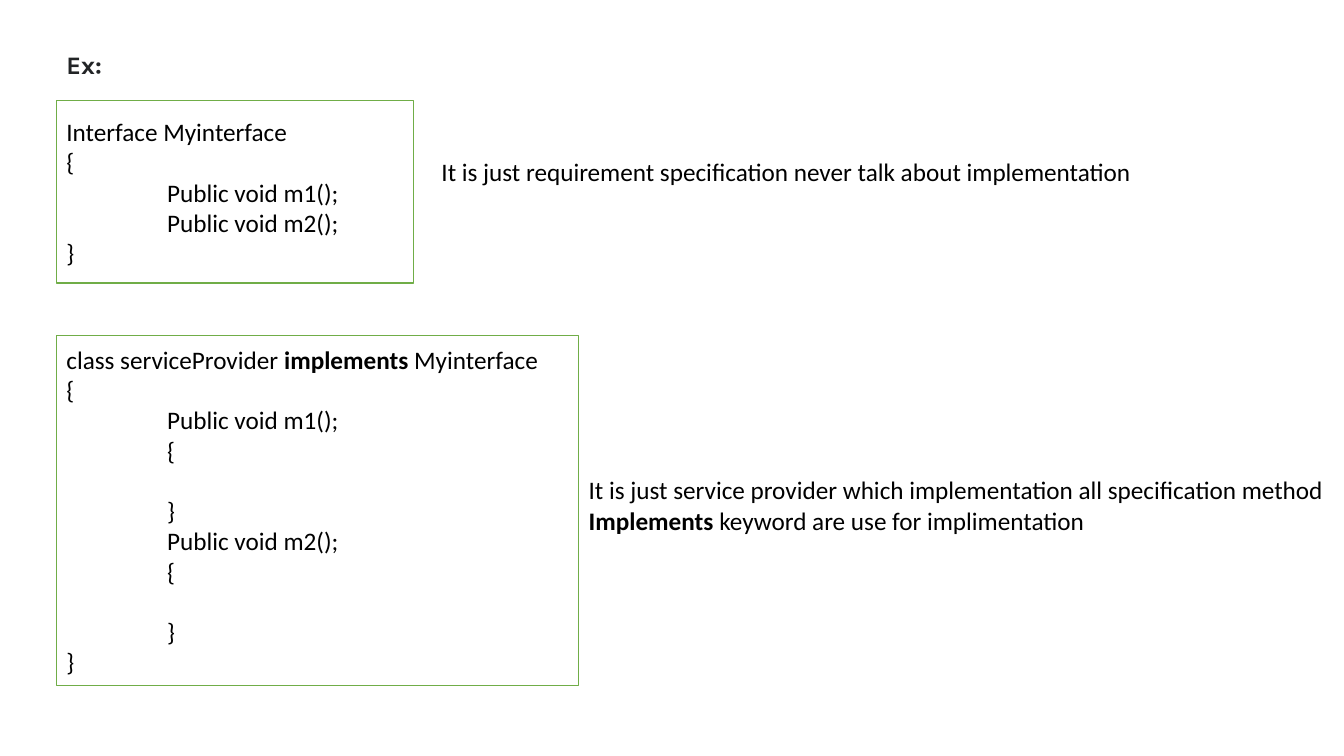
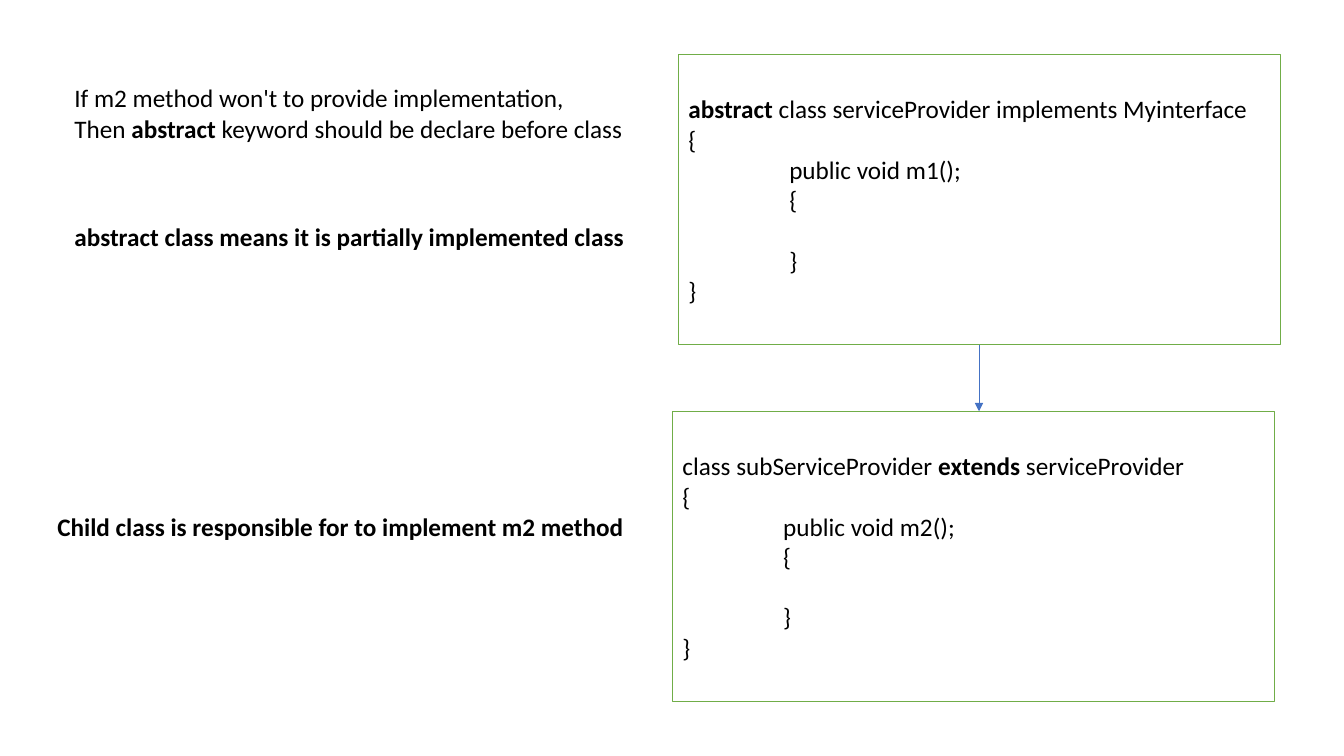
from dataclasses import dataclass

from lxml import etree
from pptx import Presentation
from pptx.dml.color import RGBColor
from pptx.enum.shapes import MSO_CONNECTOR, MSO_SHAPE
from pptx.enum.text import MSO_ANCHOR, MSO_AUTO_SIZE, PP_ALIGN
from pptx.oxml.ns import qn
from pptx.util import Pt

RECTANGLE = MSO_SHAPE.RECTANGLE
STRAIGHT = MSO_CONNECTOR.STRAIGHT
MIDDLE, TOP = MSO_ANCHOR.MIDDLE, MSO_ANCHOR.TOP
GROW = MSO_AUTO_SIZE.SHAPE_TO_FIT_TEXT
LEFT = PP_ALIGN.LEFT

WHITE = RGBColor(0xFF, 0xFF, 0xFF)
BLACK = RGBColor(0x00, 0x00, 0x00)
CHARCOAL = RGBColor(0x22, 0x24, 0x26)
GREEN = RGBColor(0x70, 0xAD, 0x47)
BLUE = RGBColor(0x44, 0x72, 0xC4)

BODY_FONT, HEADING_FONT = "Calibri", "Karla"
TEXT_SIZE = Pt(18)
EMPTY_BODY = Pt(21.6)  # one line of text between the braces
EMU_PER_PX = 9144  # 100 px to the inch
INDENT = 100


def px(length):
    return length * EMU_PER_PX


@dataclass
class Line:
    """One paragraph; the words between asterisks are bold."""
    text: str
    indent: int = 0
    gap: int = 0


def method(signature):
    """A method with an empty body, one level in."""
    return [Line(signature, INDENT), Line("{", INDENT),
            Line("}", INDENT, EMPTY_BODY)]


def block(heading, *members):
    return [Line(heading), Line("{"), *members, Line("}")]


class Deck:
    def __init__(self, width, height):
        self.presentation = Presentation()
        self.presentation.slide_width = px(width)
        self.presentation.slide_height = px(height)
        self.slide = None

    def new_slide(self):
        layout = self.presentation.slide_layouts[6]
        self.slide = self.presentation.slides.add_slide(layout)

    def add_lines(self, text_frame, lines, font=BODY_FONT, color=BLACK):
        for number, line in enumerate(lines):
            paragraph = (text_frame.add_paragraph() if number
                         else text_frame.paragraphs[0])
            paragraph.alignment = LEFT
            if line.gap:
                paragraph.space_before = line.gap
            if line.indent:
                properties = paragraph._p.get_or_add_pPr()
                properties.set("marL", str(px(line.indent)))
            for part, words in enumerate(line.text.split("*")):
                if words:
                    run = paragraph.add_run()
                    run.text = words
                    run.font.name = font
                    run.font.size = TEXT_SIZE
                    run.font.bold = part % 2 == 1
                    run.font.color.rgb = color

    def code_box(self, left, top, width, height, lines):
        shape = self.slide.shapes.add_shape(
            RECTANGLE, px(left), px(top), px(width), px(height))
        shape.shadow.inherit = False
        shape.fill.solid()
        shape.fill.fore_color.rgb = WHITE
        shape.line.color.rgb = GREEN
        shape.line.width = Pt(1)
        shape.text_frame.word_wrap = True
        shape.text_frame.vertical_anchor = MIDDLE
        self.add_lines(shape.text_frame, lines)

    def note(self, left, top, width, height, *texts, **style):
        box = self.slide.shapes.add_textbox(
            px(left), px(top), px(width), px(height))
        box.text_frame.word_wrap = False
        box.text_frame.auto_size = GROW
        box.text_frame.vertical_anchor = TOP
        self.add_lines(box.text_frame, [Line(text) for text in texts], **style)

    def arrow_down(self, x, top, bottom):
        arrow = self.slide.shapes.add_connector(
            STRAIGHT, px(x), px(top), px(x), px(bottom))
        arrow.line.color.rgb = BLUE
        arrow.line.width = Pt(0.5)
        properties = arrow._element.spPr
        line = properties.find(qn("a:ln"))
        etree.SubElement(line, qn("a:tailEnd"), type="triangle")
        etree.SubElement(properties, qn("a:effectLst"))


def interface_slide(deck):
    deck.new_slide()
    # Interface and its role
    deck.note(56, 44, 59, 40, "*Ex:*", font=HEADING_FONT, color=CHARCOAL)
    deck.code_box(56, 100, 354, 181, block(
        "Interface Myinterface",
        Line("Public void m1();", INDENT),
        Line("Public void m2();", INDENT)))
    deck.note(428, 150, 712, 40,
              "It is just requirement specification never talk about "
              "implementation")
    # Class that implements it
    deck.code_box(56, 333, 518, 347, block(
        "class serviceProvider *implements* Myinterface",
        *method("Public void m1();"),
        *method("Public void m2();")))
    deck.note(574, 466, 758, 71,
              "It is just service provider which implementation all "
              "specification method",
              "*Implements* keyword are use for implimentation")


def abstract_slide(deck):
    deck.new_slide()
    box_width, box_height = 597, 288
    parent_left, parent_top = 673, 54
    child_left, child_top = 667, 408
    # Explanations
    deck.note(64, 77, 570, 71,
              "If m2 method won't to provide implementation,",
              "Then *abstract *keyword should be declare before class")
    deck.note(64, 215, 570, 40,
              "*abstract class means it is partially implemented class*")
    deck.note(47, 502, 586, 40,
              "*Child class is responsible for to implement m2 method*")
    # Parent class, child class and the arrow between them
    deck.code_box(parent_left, parent_top, box_width, box_height, block(
        "*abstract* class serviceProvider implements Myinterface",
        *method("public void m1();")))
    deck.code_box(child_left, child_top, box_width, box_height, block(
        "class subServiceProvider *extends* serviceProvider",
        *method("public void m2();")))
    deck.arrow_down(parent_left + box_width // 2,
                    parent_top + box_height, child_top)


def main():
    deck = Deck(1333, 750)
    interface_slide(deck)
    abstract_slide(deck)
    deck.presentation.save("out.pptx")


if __name__ == "__main__":
    main()
